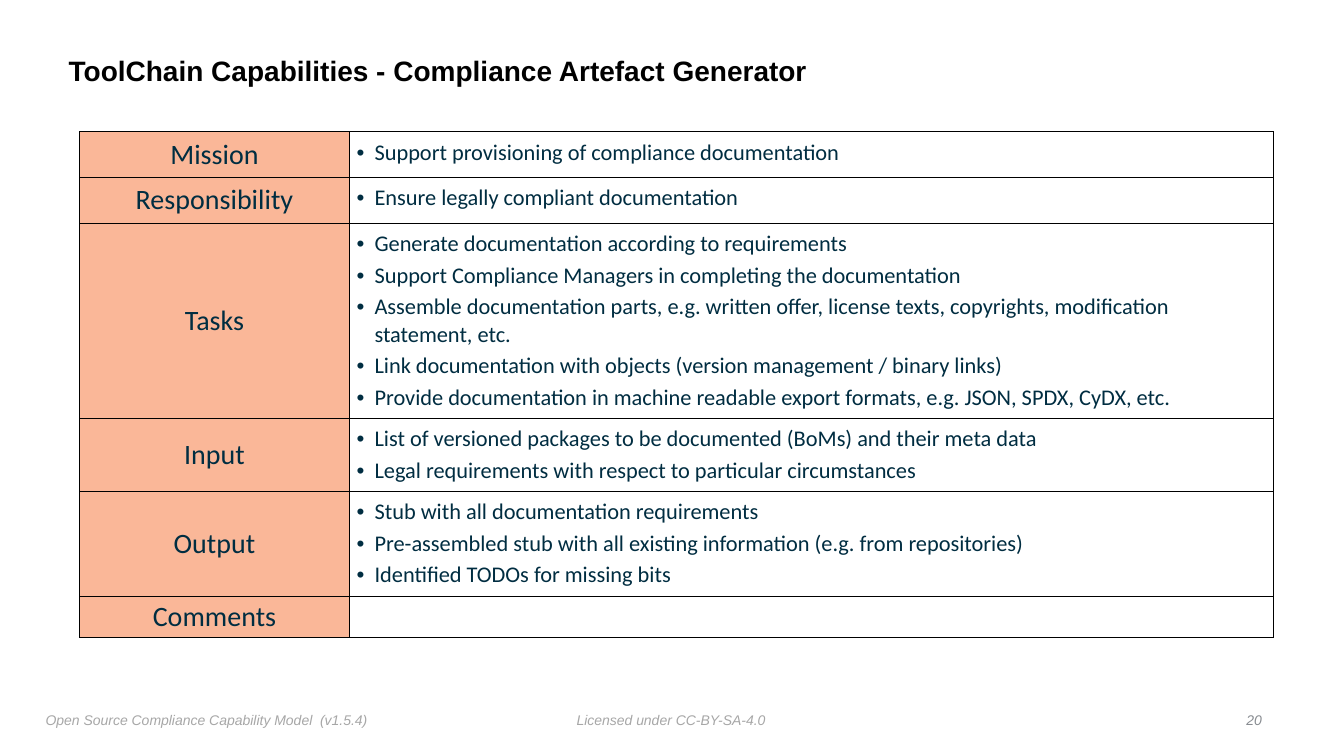
from dataclasses import dataclass

from lxml import etree
from pptx import Presentation
from pptx.dml.color import RGBColor
from pptx.enum.text import MSO_ANCHOR, PP_ALIGN
from pptx.oxml.ns import qn
from pptx.util import Cm, Pt

LEFT, CENTER, RIGHT = PP_ALIGN.LEFT, PP_ALIGN.CENTER, PP_ALIGN.RIGHT
TOP, MIDDLE = MSO_ANCHOR.TOP, MSO_ANCHOR.MIDDLE


@dataclass(frozen=True)
class Theme:
    heading_font: str = "Arial"
    table_font: str = "Calibri"
    title_color: str = "000000"
    table_color: str = "002D41"
    label_fill: str = "FAB798"
    content_fill: str = "FFFFFF"
    border_color: str = "000000"
    footer_color: str = "A7A7A7"
    number_color: str = "888C91"
    title_size: int = 20
    label_size: int = 20
    content_size: int = 16
    footer_size: int = 10
    border_width: float = 0.5


THEME = Theme()

CAPABILITIES = [
    ("Mission", 1.15, ["Support provisioning of compliance documentation"]),
    ("Responsibility", 1.15, ["Ensure legally compliant documentation"]),
    ("Tasks", 4.92, [
        "Generate documentation according to requirements",
        "Support Compliance Managers in completing the documentation",
        "Assemble documentation parts, e.g. written offer, license texts, "
        "copyrights, modification statement, etc.",
        "Link documentation with objects (version management / binary links)",
        "Provide documentation in machine readable export formats, "
        "e.g. JSON, SPDX, CyDX, etc.",
    ]),
    ("Input", 1.84, [
        "List of versioned packages to be documented (BoMs) and their meta data",
        "Legal requirements with respect to particular circumstances",
    ]),
    ("Output", 2.65, [
        "Stub with all documentation requirements",
        "Pre-assembled stub with all existing information (e.g. from repositories)",
        "Identified TODOs for missing bits",
    ]),
    ("Comments", 1.03, []),
]


def add_text(paragraph, text, font_name, size, color, bold=False, italic=False):
    run = paragraph.add_run()
    run.text = text
    run.font.name = font_name
    run.font.size = Pt(size)
    run.font.color.rgb = RGBColor.from_string(color)
    run.font.bold = bold
    run.font.italic = italic


def add_text_box(slide, box, anchor=TOP, wrap=False):
    shape = slide.shapes.add_textbox(*(Cm(length) for length in box))
    frame = shape.text_frame
    frame.word_wrap = wrap
    frame.vertical_anchor = anchor
    frame.margin_left = frame.margin_right = Cm(0.13)
    frame.margin_top = frame.margin_bottom = Cm(0.13)
    return frame.paragraphs[0]


def add_title(slide, box, text):
    paragraph = add_text_box(slide, box, MIDDLE, True)
    paragraph.line_spacing = 0.9
    add_text(paragraph, text, THEME.heading_font, THEME.title_size,
             THEME.title_color, bold=True)


def add_footer(slide, box):
    left, top, width, height = box
    number_width = 0.69
    parts = [
        (left, 8.43, "Open Source Compliance Capability Model  (v1.5.4)",
         LEFT, TOP, THEME.footer_color),
        (left + 13.38, 5.05, "Licensed under CC-BY-SA-4.0",
         LEFT, TOP, THEME.footer_color),
        (left + width - number_width, number_width, "20",
         RIGHT, MIDDLE, THEME.number_color),
    ]
    for part_left, part_width, text, alignment, anchor, color in parts:
        paragraph = add_text_box(slide, (part_left, top, part_width, height), anchor)
        paragraph.alignment = alignment
        add_text(paragraph, text, THEME.heading_font, THEME.footer_size,
                 color, italic=True)


def style_cell(cell, fill, margin):
    properties = cell._tc.get_or_add_tcPr()
    for side in ("a:lnL", "a:lnR", "a:lnT", "a:lnB"):
        line = etree.SubElement(properties, qn(side), w=str(Pt(THEME.border_width)))
        solid = etree.SubElement(line, qn("a:solidFill"))
        etree.SubElement(solid, qn("a:srgbClr"), val=THEME.border_color)
    cell.fill.solid()
    cell.fill.fore_color.rgb = RGBColor.from_string(fill)
    cell.margin_left = cell.margin_right = Cm(margin)
    cell.margin_top = cell.margin_bottom = Cm(margin)


def add_bullet(paragraph):
    properties = paragraph._p.get_or_add_pPr()
    properties.set("marL", str(Cm(0.45)))
    properties.set("indent", str(-Cm(0.45)))
    etree.SubElement(properties, qn("a:buFont"), typeface="Arial")
    etree.SubElement(properties, qn("a:buChar"), char="•")


def fill_label(cell, text):
    style_cell(cell, THEME.label_fill, 0)
    cell.vertical_anchor = MIDDLE
    paragraph = cell.text_frame.paragraphs[0]
    paragraph.alignment = CENTER
    add_text(paragraph, text, THEME.table_font, THEME.label_size, THEME.table_color)


def fill_content(cell, items):
    style_cell(cell, THEME.content_fill, 0.18)
    frame = cell.text_frame
    if not items:
        frame.paragraphs[0].font.size = Pt(THEME.content_size)
    for index, item in enumerate(items):
        paragraph = frame.add_paragraph() if index else frame.paragraphs[0]
        add_bullet(paragraph)
        if index:
            paragraph.space_before = Pt(3)
        add_text(paragraph, item, THEME.table_font, THEME.content_size,
                 THEME.table_color)


def add_capability_table(slide, box, capabilities):
    left, top, width, height = box
    label_width = 6.81
    table = slide.shapes.add_table(
        len(capabilities), 2, Cm(left), Cm(top), Cm(width), Cm(height)).table
    table.first_row = False
    table.horz_banding = False
    table.columns[0].width = Cm(label_width)
    table.columns[1].width = Cm(width - label_width)
    for index, (label, row_height, items) in enumerate(capabilities):
        table.rows[index].height = Cm(row_height)
        fill_label(table.cell(index, 0), label)
        fill_content(table.cell(index, 1), items)


def main():
    presentation = Presentation()
    presentation.slide_width = Cm(33.87)
    presentation.slide_height = Cm(19.05)
    slide = presentation.slides.add_slide(presentation.slide_layouts[6])
    add_title(slide, (1.6, 0.99, 27.3, 1.65),
              "ToolChain Capabilities - Compliance Artefact Generator")
    table_height = sum(row_height for _, row_height, _ in CAPABILITIES)
    add_capability_table(slide, (2, 3.32, 30.08, table_height), CAPABILITIES)
    add_footer(slide, (1.02, 17.81, 30.91, 0.67))
    presentation.save("out.pptx")


if __name__ == "__main__":
    main()
